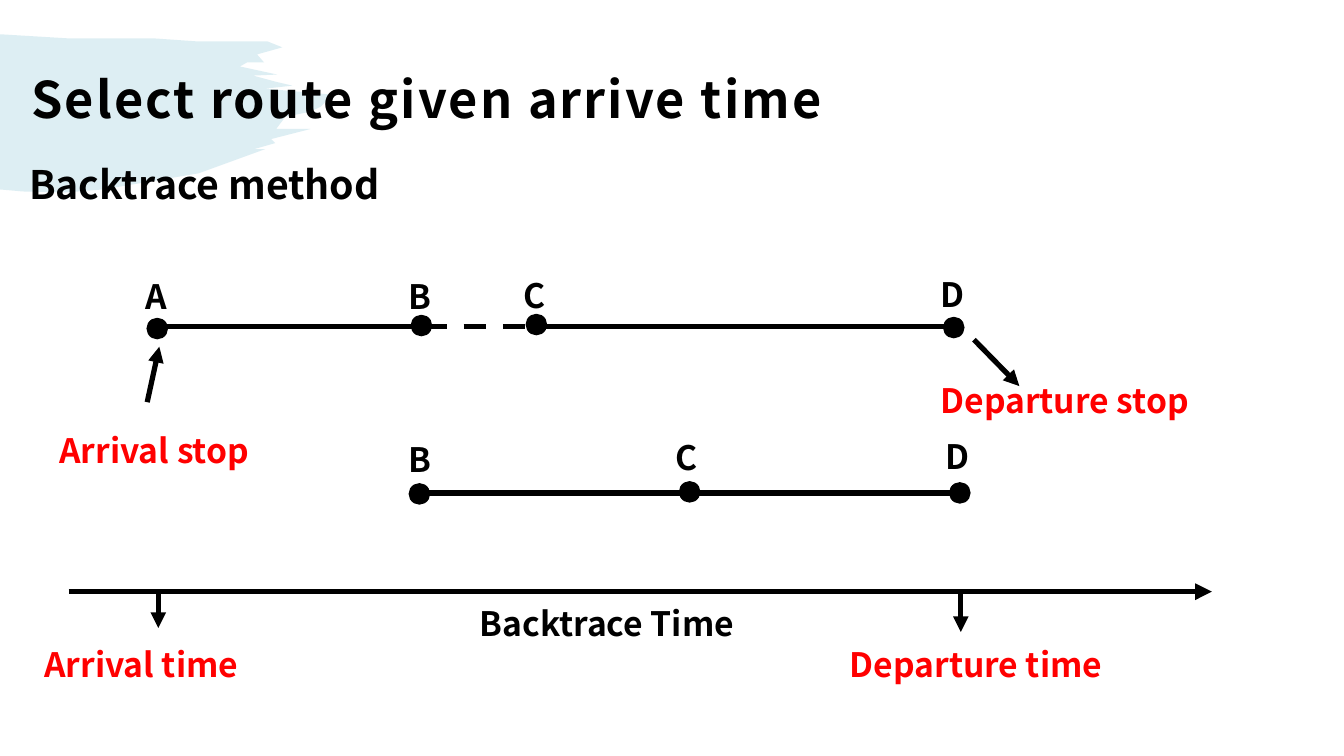
from lxml import etree
from pptx import Presentation
from pptx.dml.color import RGBColor
from pptx.enum.dml import MSO_LINE
from pptx.enum.shapes import MSO_CONNECTOR, MSO_SHAPE
from pptx.enum.text import MSO_ANCHOR, MSO_AUTO_SIZE, PP_ALIGN
from pptx.oxml.ns import qn
from pptx.util import Inches, Pt

BLACK = RGBColor(0x00, 0x00, 0x00)
RED = RGBColor(0xFF, 0x00, 0x00)
TEAL = RGBColor(0x56, 0xAB, 0xC4)
FONT = "Noto Sans CJK SC"
STRAIGHT = MSO_CONNECTOR.STRAIGHT
OVAL = MSO_SHAPE.OVAL
DASH = MSO_LINE.DASH
MIDDLE = MSO_ANCHOR.MIDDLE
LEFT = PP_ALIGN.LEFT
GROW = MSO_AUTO_SIZE.SHAPE_TO_FIT_TEXT
NO_FIT = MSO_AUTO_SIZE.NONE

DOT_SIZE = Inches(0.2)
ROUTE_Y, TRANSFER_Y, AXIS_Y = 3.24, 4.89, 5.87


def add_span(para, text, size, color):
    span = para.add_run()
    span.text = text
    span.font.name = FONT
    span.font.size = Pt(size)
    span.font.bold = True
    span.font.color.rgb = color
    return span


def add_line(x1, y1, x2, y2, width=4, arrow=False):
    link = page.shapes.add_connector(
        STRAIGHT, Inches(x1), Inches(y1), Inches(x2), Inches(y2))
    link.line.color.rgb = BLACK
    link.line.width = Pt(width)
    if arrow:
        head = etree.SubElement(link.line._get_or_add_ln(), qn("a:tailEnd"))
        head.set("type", "triangle")
    etree.SubElement(link.element.spPr, qn("a:effectLst"))
    return link


deck = Presentation()
deck.slide_width = Inches(13.33)
deck.slide_height = Inches(7.5)
page = deck.slides.add_slide(deck.slide_layouts[5])

# Title
title = page.shapes.title
title.left, title.top = Inches(0.19), Inches(0.32)
title.width, title.height = Inches(9.05), Inches(1.26)
frame = title.text_frame
frame.auto_size = NO_FIT
frame.vertical_anchor = MIDDLE
frame.margin_left = frame.margin_right = frame.margin_top = Inches(0.12)
frame.margin_bottom = Inches(0.1)
para = frame.paragraphs[0]
para.alignment = LEFT
para.line_spacing = 1.05
span = add_span(para, "Select route given arrive time", 36, BLACK)
span._r.get_or_add_rPr().set("spc", "150")

# Brush stroke behind the title
brush_edge = [
    (0.66, 0.38), (1.51, 0.38), (1.94, 0.41), (2.65, 0.41), (2.8, 0.47),
    (2.55, 0.54), (2.62, 0.62), (2.45, 0.62), (2.38, 0.66), (2.75, 0.74),
    (2.51, 0.75), (2.73, 0.81), (2.9, 0.85), (2.63, 0.88), (3.3, 0.94),
    (3.18, 1.06), (3.07, 1.11), (2.83, 1.16), (2.74, 1.28), (3.08, 1.28),
    (2.69, 1.38), (2.73, 1.42), (2.52, 1.48), (2.63, 1.48), (1.97, 1.72),
    (1.02, 1.88), (0.65, 1.91), (0.23, 1.9), (0, 1.88),
]
builder = page.shapes.build_freeform(0, Inches(0.34))
builder.add_line_segments([(Inches(x), Inches(y)) for x, y in brush_edge])
brush = builder.convert_to_shape()
brush.shadow.inherit = False
brush.fill.solid()
brush.fill.fore_color.rgb = TEAL
brush.line.fill.background()
tint = brush.element.spPr.find(qn("a:solidFill")).find(qn("a:srgbClr"))
etree.SubElement(tint, qn("a:alpha")).set("val", "20000")
title.element.addprevious(brush.element)

# Routes, with a dashed stretch between B and C
for start, end, y in [(1.61, 4.15, ROUTE_Y), (5.35, 9.44, ROUTE_Y),
                      (4.2, 6.74, TRANSFER_Y), (6.88, 9.42, TRANSFER_Y)]:
    add_line(start, y, end, y)
add_line(4.21, ROUTE_Y, 5.4, ROUTE_Y).line.dash_style = DASH

# Time axis and pointers
add_line(0.68, AXIS_Y, 12.02, AXIS_Y, arrow=True)
for x, tip in [(1.57, 6.23), (9.53, 6.27)]:
    add_line(x, AXIS_Y, x, tip, 3.75, True)
add_line(1.46, 3.99, 1.58, 3.44, 3.75, True)
add_line(9.66, 3.37, 10.11, 3.83, 3.75, True)

# Stops: dot position, then label position
stops = [
    ("A", 1.46, 3.16, 1.35, 2.69), ("B", 4.08, 3.13, 3.95, 2.69),
    ("C", 5.22, 3.12, 5.09, 2.68), ("D", 9.36, 3.15, 9.23, 2.67),
    ("B", 4.06, 4.8, 3.95, 4.31), ("C", 6.74, 4.78, 6.6, 4.29),
    ("D", 9.42, 4.79, 9.28, 4.28),
]
labels = [
    ("Backtrace method", 0.19, 1.54, 3.79, 28, BLACK),
    ("Arrival stop", 0.49, 4.22, 2.54, 24, RED),
    ("Departure stop", 9.23, 3.72, 3.02, 24, RED),
    ("Backtrace Time", 4.66, 5.93, 2.91, 24, BLACK),
    ("Arrival time", 0.34, 6.34, 2.54, 24, RED),
    ("Departure time", 8.33, 6.34, 2.78, 24, RED),
]
for name, dot_left, dot_top, left, top in stops:
    dot = page.shapes.add_shape(
        OVAL, Inches(dot_left), Inches(dot_top), DOT_SIZE, DOT_SIZE)
    dot.shadow.inherit = False
    dot.fill.solid()
    dot.fill.fore_color.rgb = BLACK
    dot.line.color.rgb = BLACK
    dot.line.width = Pt(1)
    labels.append((name, left, top, 0.5, 24, BLACK))

for text, left, top, width, size, color in labels:
    box = page.shapes.add_textbox(
        Inches(left), Inches(top), Inches(width), Inches(size / 48))
    box.text_frame.word_wrap = True
    box.text_frame.auto_size = GROW
    add_span(box.text_frame.paragraphs[0], text, size, color)

deck.save("out.pptx")
